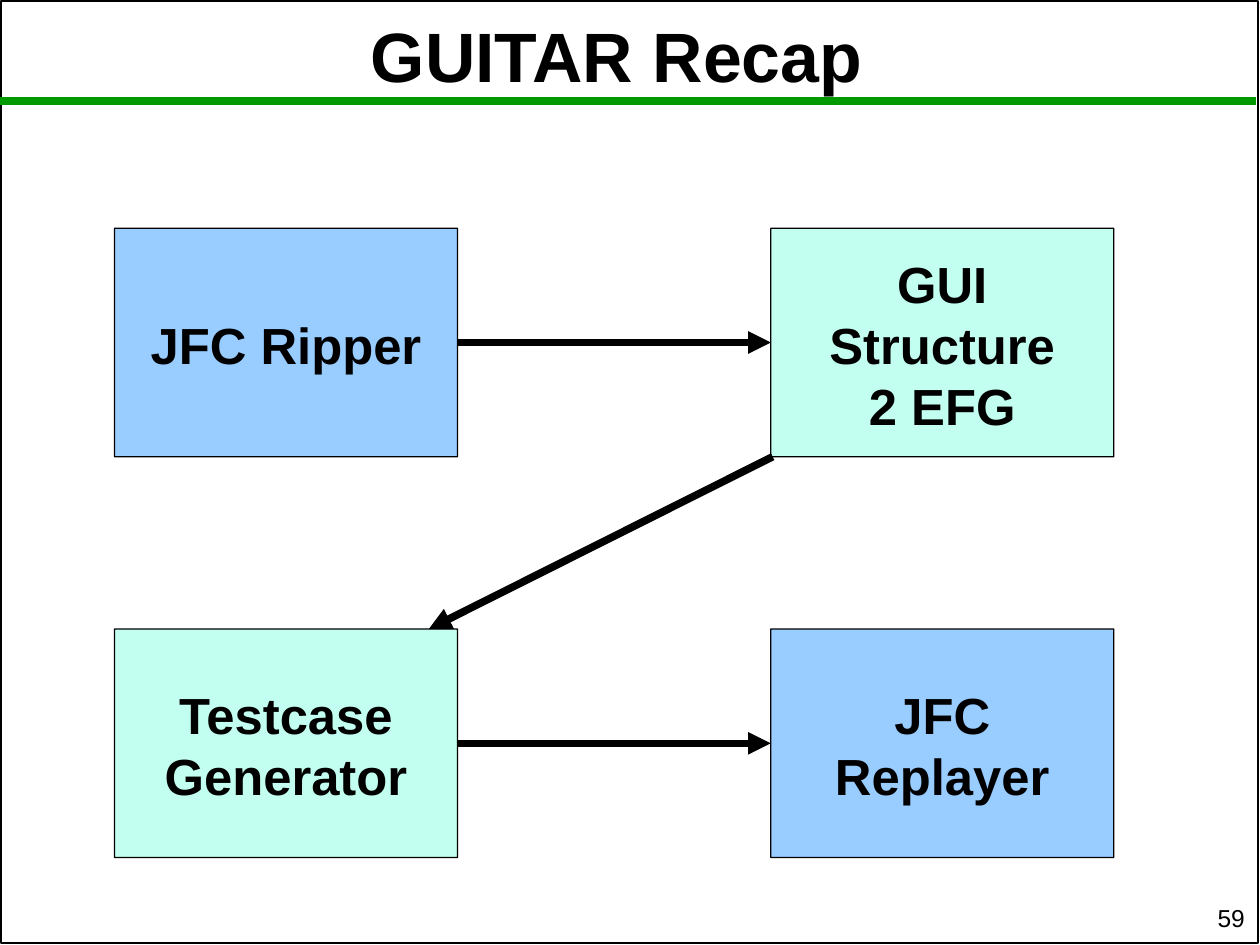
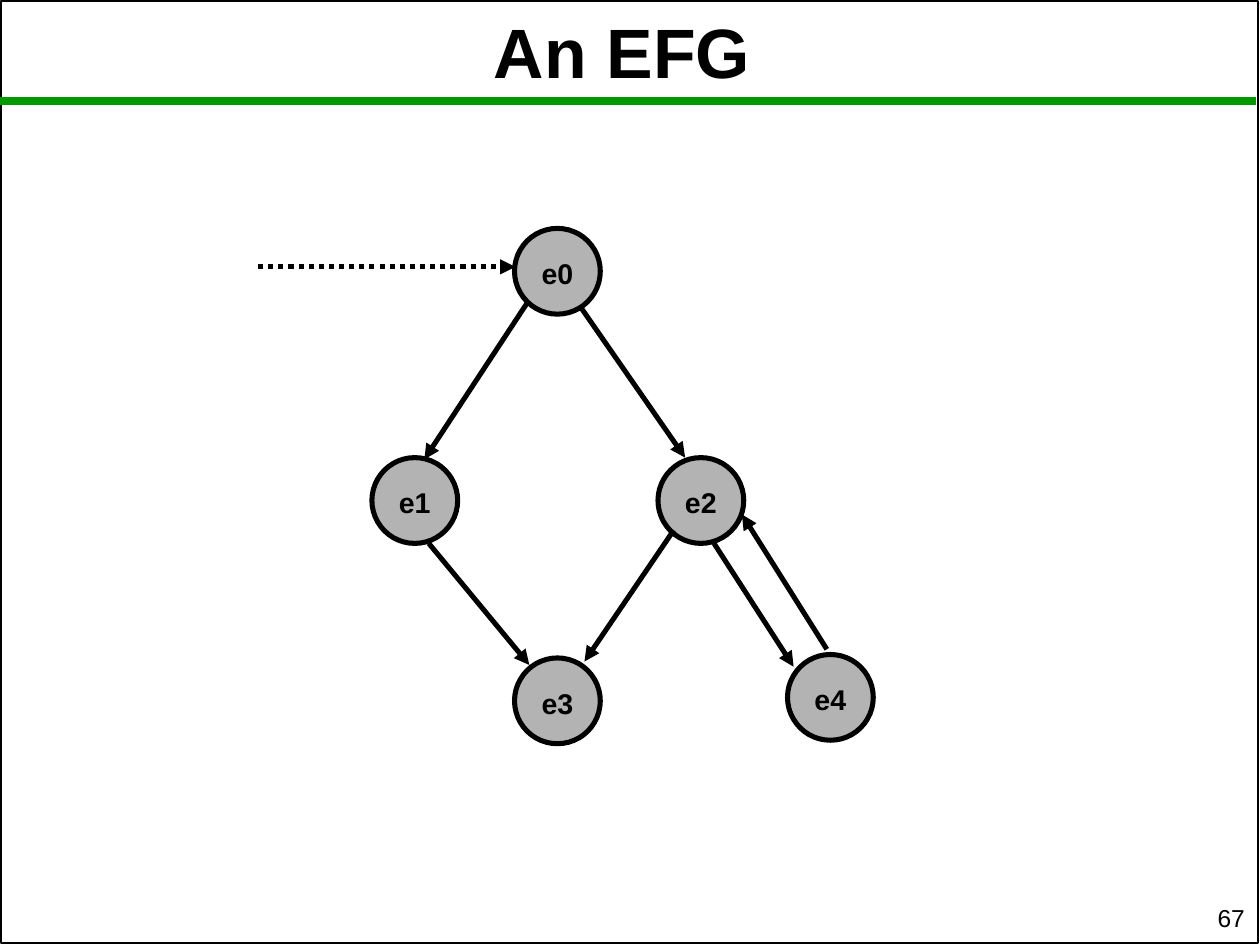
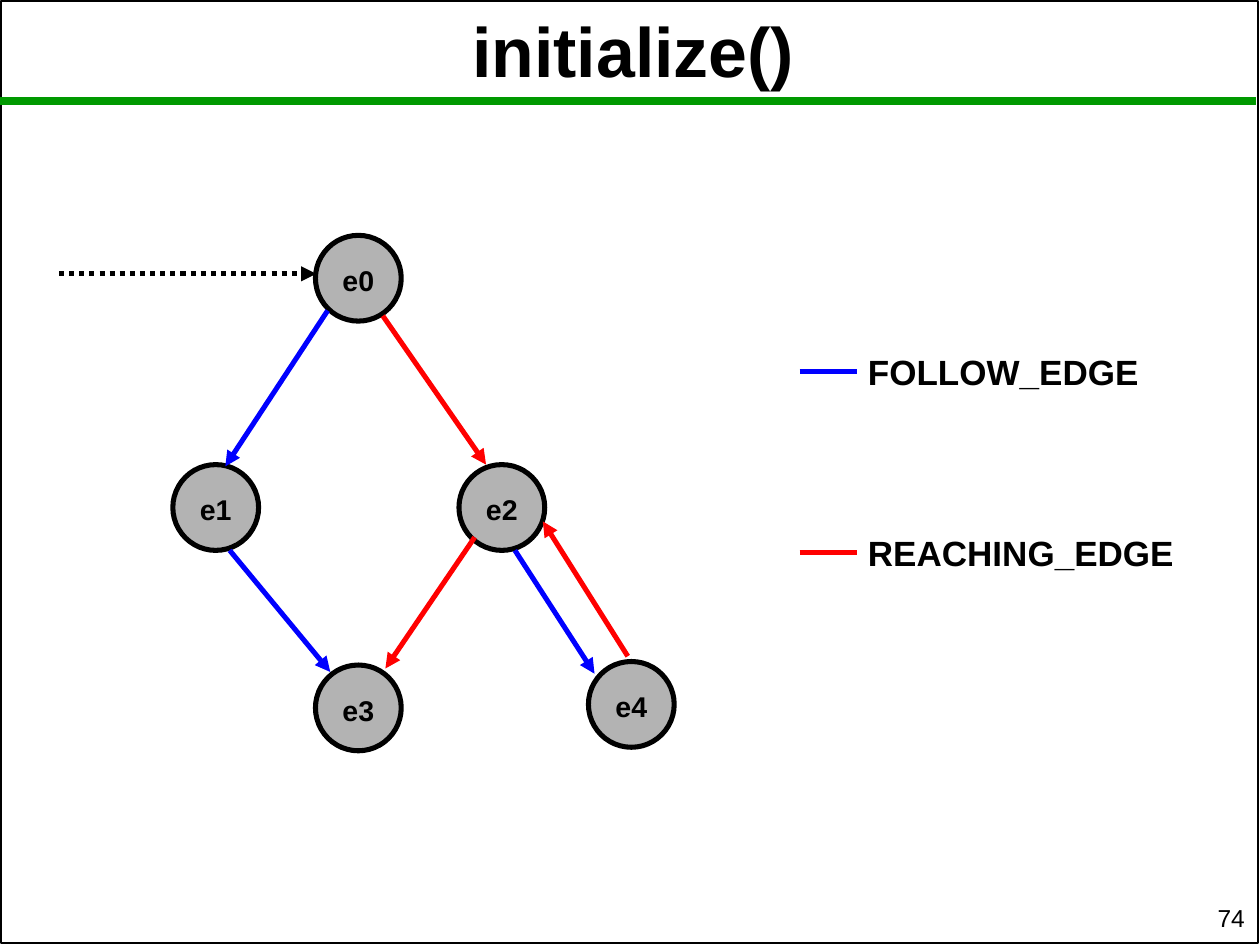
from dataclasses import dataclass
from typing import Optional

from lxml import etree
from pptx import Presentation
from pptx.dml.color import RGBColor
from pptx.enum.dml import MSO_LINE
from pptx.enum.shapes import MSO_CONNECTOR, MSO_SHAPE
from pptx.enum.text import MSO_ANCHOR, MSO_AUTO_SIZE, PP_ALIGN
from pptx.oxml.ns import qn
from pptx.util import Pt

BLACK = RGBColor(0x00, 0x00, 0x00)
GREEN = RGBColor(0x00, 0x99, 0x00)
SKY = RGBColor(0x99, 0xCC, 0xFF)
MINT = RGBColor(0xC2, 0xFF, 0xF0)
GRAY = RGBColor(0xB3, 0xB3, 0xB3)
BLUE = RGBColor(0x00, 0x00, 0xFF)
RED = RGBColor(0xFF, 0x00, 0x00)

STRAIGHT = MSO_CONNECTOR.STRAIGHT
RECTANGLE = MSO_SHAPE.RECTANGLE
ROUNDED = MSO_SHAPE.ROUNDED_RECTANGLE
OVAL = MSO_SHAPE.OVAL
DOTTED = MSO_LINE.ROUND_DOT
TOP, MIDDLE, BOTTOM = MSO_ANCHOR.TOP, MSO_ANCHOR.MIDDLE, MSO_ANCHOR.BOTTOM
LEFT, CENTER, RIGHT = PP_ALIGN.LEFT, PP_ALIGN.CENTER, PP_ALIGN.RIGHT
NO_AUTOFIT = MSO_AUTO_SIZE.NONE
LEFT_SIDE, RIGHT_SIDE = 1, 3

TITLE_ONLY = 5
NODE_SIZE = 49
EDGE_WIDTH = 2.89
FLOW_WIDTH = 4.31
BOX_WIDTH, BOX_HEIGHT = 196, 130.5
COLUMNS = (65.5, 440.5)
ROWS = (130.5, 359.5)


@dataclass(frozen=True)
class TextStyle:
    size: float
    bold: bool
    align: PP_ALIGN
    anchor: MSO_ANCHOR
    insets: tuple[float, float, float, float]


@dataclass(frozen=True)
class Box:
    text: str
    column: int
    row: int
    color: RGBColor


@dataclass(frozen=True)
class Node:
    name: str
    x: float
    y: float


@dataclass(frozen=True)
class Edge:
    start: tuple[float, float]
    end: tuple[float, float]
    kind: Optional[RGBColor] = None


@dataclass(frozen=True)
class LegendEntry:
    label: str
    color: RGBColor
    y: float
    width: float


TITLE_STYLE = TextStyle(39.9, True, CENTER, MIDDLE, (0, 3, 0, 0))
BOX_STYLE = TextStyle(29, True, CENTER, MIDDLE, (6.5, 5, 6.5, 3))
NODE_STYLE = TextStyle(16.3, True, CENTER, MIDDLE, (8, 6, 8, 4))
LEGEND_STYLE = TextStyle(20, True, LEFT, TOP, (6.5, 4.5, 6.5, 3))
NUMBER_STYLE = TextStyle(14, False, RIGHT, BOTTOM, (7.2, 3.6, 7.2, 3.6))

BOXES = (
    Box("JFC Ripper", 0, 0, SKY),
    Box("GUI Structure\n2 EFG", 1, 0, MINT),
    Box("Testcase\nGenerator", 0, 1, MINT),
    Box("JFC Replayer", 1, 1, SKY),
)

NODES = (
    Node("e0", 0, 0),
    Node("e1", -81.5, 131),
    Node("e2", 82, 131),
    Node("e3", 0, 245.5),
    Node("e4", 156, 243.5),
)

EDGES = (
    Edge((7, 43), (-51.5, 132), BLUE),
    Edge((38.5, 46), (97.5, 131), RED),
    Edge((-49, 180), (8.5, 249.5), BLUE),
    Edge((91, 172.5), (40, 247.5), RED),
    Edge((114, 180), (159.5, 250.5), BLUE),
    Edge((178.5, 240.5), (130, 163.5), RED),
)
ENTRY_EDGE = Edge((-146.5, 22), (0.5, 22))

LEGEND = (
    LegendEntry("FOLLOW_EDGE", BLUE, 212.5, 179.5),
    LegendEntry("REACHING_EDGE", RED, 315.5, 196),
)


def write_text(shape, text: str, style: TextStyle) -> None:
    frame = shape.text_frame
    left, top, right, bottom = map(Pt, style.insets)
    frame_format = {
        "text": text, "word_wrap": True, "auto_size": NO_AUTOFIT,
        "vertical_anchor": style.anchor, "margin_left": left,
        "margin_top": top, "margin_right": right, "margin_bottom": bottom,
    }
    for name, value in frame_format.items():
        setattr(frame, name, value)
    font_format = {"name": "Arial", "size": Pt(style.size), "bold": style.bold}
    for paragraph in frame.paragraphs:
        paragraph.alignment = style.align
        for name, value in font_format.items():
            setattr(paragraph.font, name, value)
        paragraph.font.color.rgb = BLACK


def add_outlined(slide, kind: MSO_SHAPE, x: float, y: float, width: float,
                 height: float, line_width: float,
                 fill: Optional[RGBColor] = None):
    shape = slide.shapes.add_shape(kind, Pt(x), Pt(y), Pt(width), Pt(height))
    shape.shadow.inherit = False
    if fill is None:
        shape.fill.background()
    else:
        shape.fill.solid()
        shape.fill.fore_color.rgb = fill
    shape.line.color.rgb = BLACK
    shape.line.width = Pt(line_width)
    return shape


def add_line(slide, start: tuple[float, float], end: tuple[float, float],
             color: RGBColor, width: float, arrow: bool = True,
             dash: Optional[MSO_LINE] = None):
    line = slide.shapes.add_connector(STRAIGHT, *map(Pt, (*start, *end)))
    line.line.color.rgb = color
    line.line.width = Pt(width)
    if dash is not None:
        line.line.dash_style = dash
    properties = line._element.spPr
    if arrow:
        etree.SubElement(properties.find(qn("a:ln")), qn("a:tailEnd"), type="triangle")
    etree.SubElement(properties, qn("a:effectLst"))
    return line


def add_text(slide, text: str, x: float, y: float, width: float,
             height: float, style: TextStyle) -> None:
    box = slide.shapes.add_textbox(Pt(x), Pt(y), Pt(width), Pt(height))
    write_text(box, text, style)


def start_slide(presentation, title: str, number: int,
                place: tuple[float, float, float, float]):
    slide = presentation.slides.add_slide(presentation.slide_layouts[TITLE_ONLY])
    add_outlined(slide, RECTANGLE, 0.75, 0.75, 718, 538, 1)
    add_line(slide, (0, 57.5), (718, 57.5), GREEN, 4.5, arrow=False)
    heading = slide.shapes.title
    for name, value in zip(("left", "top", "width", "height"), place):
        setattr(heading, name, Pt(value))
    write_text(heading, title, TITLE_STYLE)
    add_text(slide, str(number), 569, 517.5, 149.5, 19, NUMBER_STYLE)
    return slide


def draw_workflow(slide) -> None:
    shapes = {}
    for box in BOXES:
        shape = add_outlined(slide, ROUNDED, COLUMNS[box.column], ROWS[box.row],
                             BOX_WIDTH, BOX_HEIGHT, 0.75, box.color)
        shape.adjustments[0] = 0.001
        write_text(shape, box.text, BOX_STYLE)
        shapes[box.column, box.row] = shape
    for row, top in enumerate(ROWS):
        middle = top + BOX_HEIGHT / 2
        arrow = add_line(slide, (COLUMNS[0] + BOX_WIDTH, middle),
                         (COLUMNS[1], middle), BLACK, FLOW_WIDTH)
        arrow.begin_connect(shapes[0, row], RIGHT_SIDE)
        arrow.end_connect(shapes[1, row], LEFT_SIDE)
    add_line(slide, (441.5, ROWS[0] + BOX_HEIGHT), (245, ROWS[1]), BLACK, FLOW_WIDTH)


def draw_graph(slide, x: float, y: float, colored: bool) -> None:
    def place(point: tuple[float, float]) -> tuple[float, float]:
        return x + point[0], y + point[1]

    for node in NODES:
        circle = add_outlined(slide, OVAL, *place((node.x, node.y)),
                              NODE_SIZE, NODE_SIZE, EDGE_WIDTH, GRAY)
        write_text(circle, node.name, NODE_STYLE)
    for edge in EDGES:
        color = edge.kind if colored else BLACK
        add_line(slide, place(edge.start), place(edge.end), color, EDGE_WIDTH)
    add_line(slide, place(ENTRY_EDGE.start), place(ENTRY_EDGE.end),
             BLACK, EDGE_WIDTH, dash=DOTTED)


def draw_legend(slide) -> None:
    for entry in LEGEND:
        add_line(slide, (457, entry.y), (489.5, entry.y), entry.color,
                 EDGE_WIDTH, arrow=False)
        add_text(slide, entry.label, 489.5, entry.y - 16.5, entry.width, 29,
                 LEGEND_STYLE)


def main() -> None:
    presentation = Presentation()
    presentation.slide_width = Pt(720)
    presentation.slide_height = Pt(540)

    recap = start_slide(presentation, "GUITAR Recap", 59, (10, 0, 685, 59))
    draw_workflow(recap)

    event_flow = start_slide(presentation, "An EFG", 67, (10, 6, 691, 43))
    draw_graph(event_flow, 294, 130.5, colored=False)

    initialize = start_slide(presentation, "initialize()", 74, (38, 0, 648, 53.5))
    draw_graph(initialize, 180.25, 134.5, colored=True)
    draw_legend(initialize)

    presentation.save("out.pptx")


if __name__ == "__main__":
    main()
